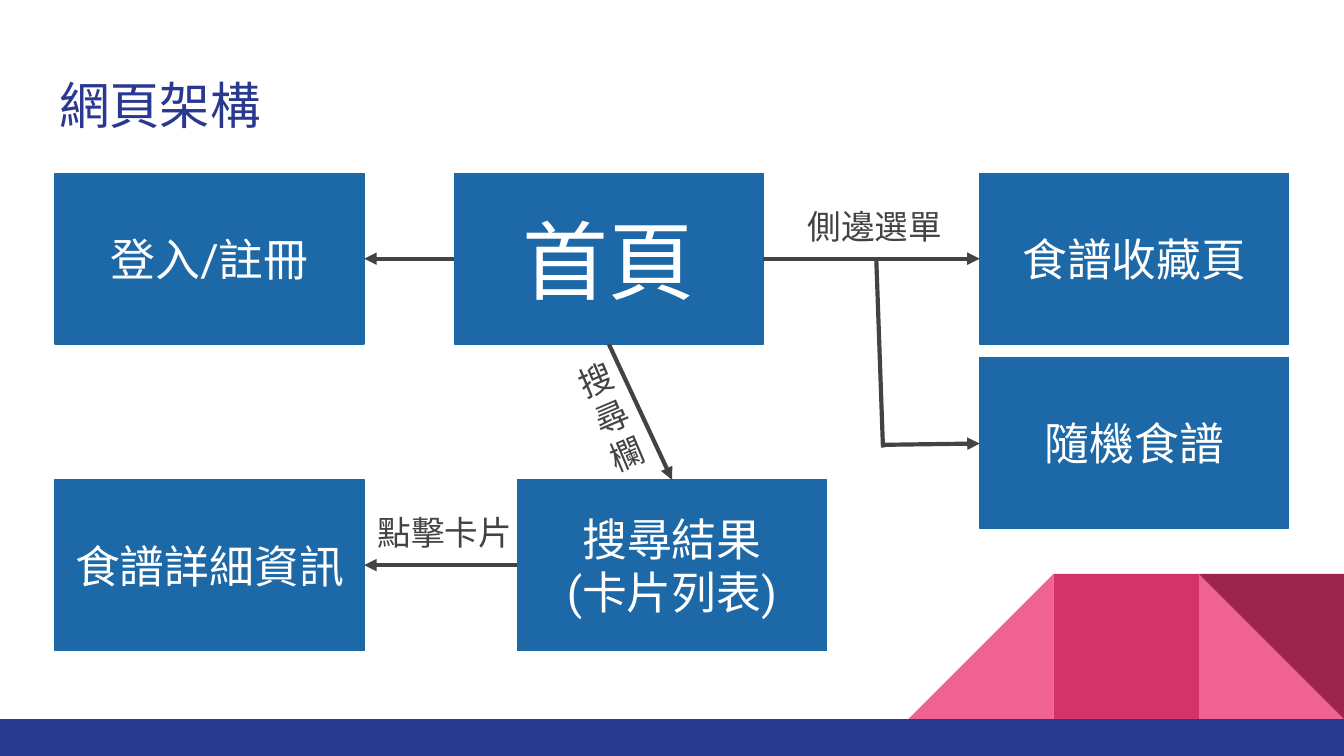
from pptx import Presentation
from pptx import util as u
from pptx.dml.color import RGBColor
from pptx.enum import shapes, text
from pptx.oxml.ns import qn
from lxml import etree

THEME = {
    "font": "Roboto",
    "navy": "2A3990", "box": "1D68A7", "white": "FFFFFF", "ink": "434343",
    "pink": "F06292", "rose": "D23369", "wine": "9C254D",
    "title_size": 27, "home_size": 46, "box_size": 24, "label_size": 18,
    "line_width": 2.25, "box_line": 0.75,
}
INSET = u.Inches(0.1)
TOP, LEFT, BOTTOM, RIGHT = range(4)  # connection sites of a rectangle


def write(shape, lines, size, color, align=text.PP_ALIGN.LEFT, anchor=text.MSO_ANCHOR.TOP):
    frame = shape.text_frame
    frame.auto_size = text.MSO_AUTO_SIZE.NONE
    frame.word_wrap = True
    frame.vertical_anchor = anchor
    frame.margin_left = frame.margin_right = frame.margin_top = frame.margin_bottom = INSET
    frame.text = lines
    for para in frame.paragraphs:
        para.alignment = align
        para.font.name = THEME["font"]
        para.font.size = u.Pt(THEME[size])
        para.font.color.rgb = RGBColor.from_string(THEME[color])


def add_line(start, end, arrow=True):
    line = page.shapes.add_connector(
        shapes.MSO_CONNECTOR.STRAIGHT, *(u.Inches(value) for value in (*start, *end)))
    line.line.color.rgb = RGBColor.from_string(THEME["ink"])
    line.line.width = u.Pt(THEME["line_width"])
    if arrow:
        etree.SubElement(line.get_or_add_ln(), qn("a:tailEnd"), type="triangle")
    etree.SubElement(line._element.spPr, qn("a:effectLst"))
    return line


# Widescreen 16:9 page
deck = Presentation()
deck.slide_width = u.Inches(10)
deck.slide_height = deck.slide_width * 9 // 16
page = deck.slides.add_slide(deck.slide_layouts[5])

# Corner decoration and bottom band
triangle, rectangle = shapes.MSO_SHAPE.RIGHT_TRIANGLE, shapes.MSO_SHAPE.RECTANGLE
side = 1.08
for kind, left, top, width, height, color, flip, turn in (
    (triangle, 8.92, 4.27, side, side, "pink", False, 0),
    (triangle, 6.76, 4.27, side, side, "pink", True, 0),
    (rectangle, 7.84, 4.27, side, side, "rose", False, 0),
    (triangle, 8.92, 4.27, side, side, "wine", False, 180),
    (rectangle, 0, 5.35, 10, 0.28, "navy", False, 0),
):
    part = page.shapes.add_shape(kind, *(u.Inches(v) for v in (left, top, width, height)))
    part.shadow.inherit = False
    part.fill.solid()
    part.fill.fore_color.rgb = RGBColor.from_string(THEME[color])
    part.line.fill.background()
    part.rotation = turn
    if flip:
        part._element.spPr.xfrm.set("flipH", "1")

# Title
title = page.shapes.title
title.left, title.top, title.width, title.height = (u.Inches(v) for v in (0.34, 0.45, 9.32, 0.66))
write(title, "網頁架構", "title_size", "navy")

# Page boxes
boxes = {}
for name, left, top, words, size in (
    ("home", 3.38, 1.29, "首頁", "home_size"),
    ("saved", 7.29, 1.29, "食譜收藏頁", "box_size"),
    ("results", 3.85, 3.57, "搜尋結果\n(卡片列表)", "box_size"),
    ("login", 0.41, 1.29, "登入/註冊", "box_size"),
    ("details", 0.41, 3.57, "食譜詳細資訊", "box_size"),
    ("random", 7.29, 2.66, "隨機食譜", "box_size"),
):
    box = page.shapes.add_shape(rectangle, *(u.Inches(v) for v in (left, top, 2.3, 1.27)))
    box.shadow.inherit = False
    box.fill.solid()
    box.fill.fore_color.rgb = RGBColor.from_string(THEME["box"])
    box.line.color.rgb = RGBColor.from_string(THEME["box"])
    box.line.width = u.Pt(THEME["box_line"])
    write(box, words, size, "white", text.PP_ALIGN.CENTER, text.MSO_ANCHOR.MIDDLE)
    boxes[name] = box

# Arrows between boxes
for source, source_site, target, target_site in (
    ("home", RIGHT, "saved", LEFT),
    ("home", BOTTOM, "results", TOP),
    ("home", LEFT, "login", RIGHT),
    ("results", LEFT, "details", RIGHT),
):
    arrow = add_line((0, 0), (1, 1))
    arrow.begin_connect(boxes[source], source_site)
    arrow.end_connect(boxes[target], target_site)

# Branch from the side menu to the random recipe
add_line((6.57, 3.31), (7.29, 3.3))
add_line((6.57, 3.33), (6.52, 1.92), arrow=False)

# Arrow labels
for words, left, top, width, height, turn in (
    ("搜尋欄", 4.2, 2.59, 0.37, 0.44, 337),
    ("側邊選單", 5.91, 1.43, 1.21, 0.49, 0),
    ("點擊卡片", 2.71, 3.71, 1.21, 0.49, 0),
):
    label = page.shapes.add_textbox(*(u.Inches(v) for v in (left, top, width, height)))
    label.rotation = turn
    write(label, words, "label_size", "ink")

deck.save("out.pptx")
